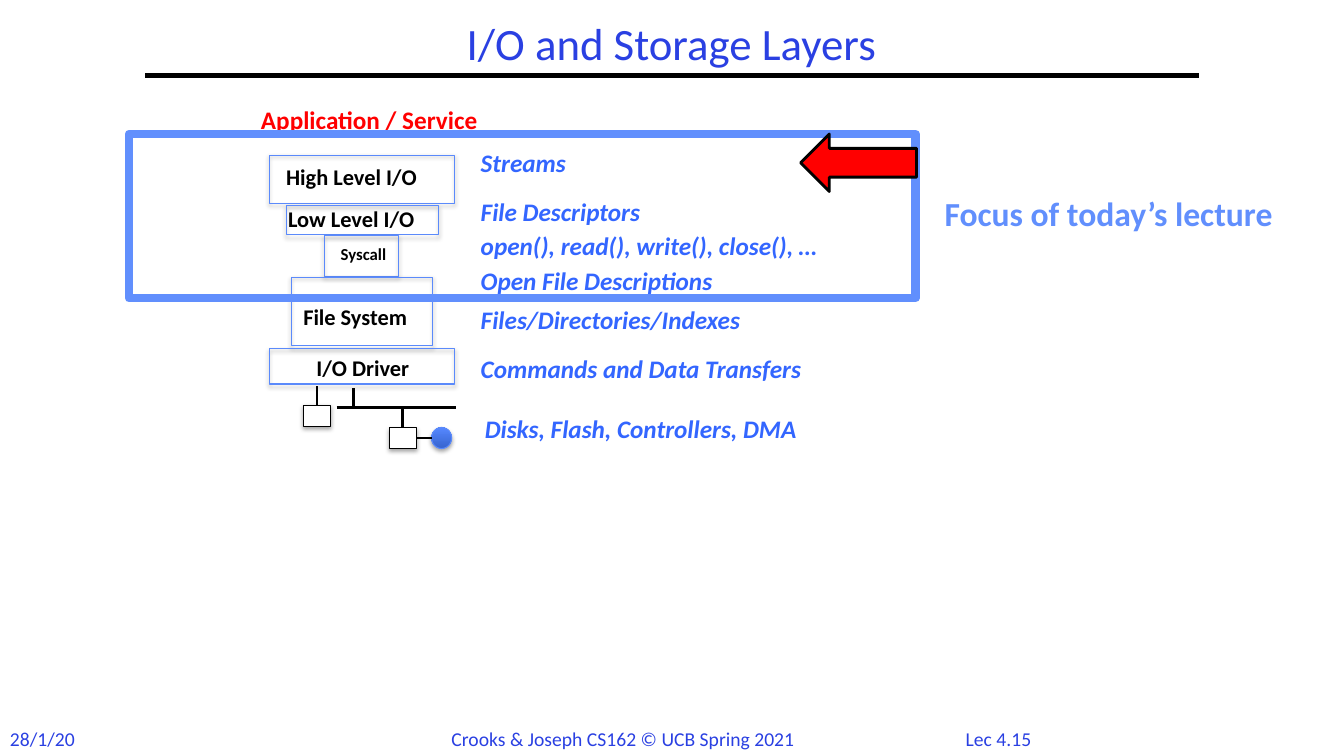
from dataclasses import dataclass

import pptx
import pptx.dml.color
import pptx.enum.shapes
import pptx.enum.text
import pptx.oxml
import pptx.oxml.ns
import pptx.util
from lxml import etree

SHAPES = pptx.enum.shapes.MSO_SHAPE
ALIGN = pptx.enum.text.PP_ALIGN
ANCHOR = pptx.enum.text.MSO_ANCHOR
TOP, RIGHT = 0, 3  # connection sites of a rectangle


@dataclass(frozen=True)
class Theme:
    font: str = "Calibri"
    heading: str = "2A40E2"
    label: str = "3366FF"
    outline: str = "5B8AFB"
    focus: str = "618FFD"
    ball_dark: str = "3764CE"
    ball_light: str = "5688FF"
    red: str = "FF0000"
    black: str = "000000"
    white: str = "FFFFFF"
    title_size: int = 32
    focus_size: int = 24
    label_size: int = 18
    layer_size: int = 16
    footer_size: int = 14
    small_size: int = 12
    thin: float = 0.75
    wire: float = 2
    rule: float = 3
    frame: float = 6


def rgb(color):
    return pptx.dml.color.RGBColor.from_string(color)


class SlideBuilder:
    """Draws on one slide; lengths are cells of a grid, ten to the inch."""

    def __init__(self, slide, theme):
        self.slide = slide
        self.theme = theme

    def cells(self, *lengths):
        return [pptx.util.Inches(length / 10) for length in lengths]

    def text(self, words, place, size, color, bold=False, italic=False,
             align=ALIGN.LEFT, anchor=ANCHOR.TOP, spacing=1.0):
        frame = self.slide.shapes.add_textbox(*self.cells(*place)).text_frame
        frame.word_wrap = True
        frame.vertical_anchor = anchor
        paragraph = frame.paragraphs[0]
        paragraph.text = words
        paragraph.alignment = align
        paragraph.line_spacing = spacing
        font = paragraph.font
        font.name = self.theme.font
        font.size = pptx.util.Pt(size)
        font.bold, font.italic = bold, italic
        font.color.rgb = rgb(color)

    def shape(self, kind, place, line, width, fill=None, shadow=False):
        shape = self.slide.shapes.add_shape(kind, *self.cells(*place))
        if fill:
            shape.fill.solid()
            shape.fill.fore_color.rgb = rgb(fill)
        else:
            shape.fill.background()
        shape.line.color.rgb = rgb(line)
        shape.line.width = pptx.util.Pt(width)
        shape.shadow.inherit = False
        if shadow:
            self.drop_shadow(shape)
        return shape

    def drop_shadow(self, shape):
        qn = pptx.oxml.ns.qn
        effects = shape._element.spPr.find(qn("a:effectLst"))
        outer = etree.SubElement(
            effects, qn("a:outerShdw"), blurRad=str(pptx.util.Pt(3.1)),
            dist=str(pptx.util.Pt(1.8)), dir="5400000", rotWithShape="0")
        color = etree.SubElement(outer, qn("a:srgbClr"), val=self.theme.black)
        etree.SubElement(color, qn("a:alpha"), val="35000")

    def line(self, start, end, width):
        connector = self.slide.shapes.add_connector(
            pptx.enum.shapes.MSO_CONNECTOR.STRAIGHT, *self.cells(*start, *end))
        connector.line.color.rgb = rgb(self.theme.black)
        connector.line.width = pptx.util.Pt(width)
        etree.SubElement(connector._element.spPr, pptx.oxml.ns.qn("a:effectLst"))
        return connector

    def label(self, words, left, top):
        self.text(words, (left, top, 41, 4), self.theme.label_size,
                  self.theme.label, bold=True, italic=True)

    def layer(self, words, text_corner, box, size):
        """An outlined layer with its name set at its own corner."""
        self.text(words, (*text_corner, 18, 3.7), size, self.theme.black, bold=True)
        self.shape(SHAPES.RECTANGLE, box, self.theme.outline, self.theme.thin,
                   shadow=True)

    def device(self, left, top):
        return self.shape(SHAPES.RECTANGLE, (left, top, 2.7, 2.1), self.theme.black,
                          self.theme.thin, self.theme.white, shadow=True)

    def ball(self, place):
        ball = self.shape(SHAPES.OVAL, place, self.theme.outline, self.theme.thin,
                          shadow=True)
        ball.fill.gradient()
        ball.fill.gradient_angle = 90
        colors = (self.theme.ball_dark, self.theme.ball_light)
        for stop, color, position in zip(ball.fill.gradient_stops, colors, (0, 1)):
            stop.color.rgb = rgb(color)
            stop.position = position


def draw_title_and_footer(builder):
    theme = builder.theme
    builder.line((14.4, 7.5), (118.9, 7.5), theme.rule)
    builder.text("I/O and Storage Layers", (14.4, 1.7, 104.4, 5.8), theme.title_size,
                 theme.heading, align=ALIGN.CENTER, anchor=ANCHOR.MIDDLE, spacing=0.9)
    for words, left, width in (("28/1/20", 0, 10),
                               ("Crooks & Joseph CS162 © UCB Spring 2021", 43.8, 40),
                               ("Lec 4.15", 94.8, 12)):
        builder.text(words, (left, 71.6, width, 3.4), theme.footer_size, theme.heading)


def draw_layers(builder):
    theme = builder.theme
    large, small = theme.layer_size, theme.small_size
    for words, corner, box, size in (
            ("High Level I/O", (27.4, 15.7), (26.7, 15.4, 18.4, 4.8), large),
            ("Low Level I/O", (27.6, 19.9), (28.4, 20.4, 15.1, 2.9), large),
            ("Syscall", (32.8, 23.7), (32.2, 23.4, 7.3, 4), small),
            ("File System", (29.1, 29.6), (28.9, 27.5, 14, 6.8), large),
            ("I/O Driver", (30.4, 34.6), (26.7, 34.6, 18.4, 3.5), large)):
        builder.layer(words, corner, box, size)


def draw_devices(builder):
    wire = builder.theme.wire
    builder.line((33.4, 40.4), (45.2, 40.4), wire)
    builder.line((35.1, 38.5), (35.1, 40.4), wire)
    controller = builder.device(38.6, 42.4)
    builder.ball((42.8, 42.4, 2, 2.1))
    builder.line((39.95, 40.4), (39.95, 42.4), wire).end_connect(controller, TOP)
    builder.line((41.3, 43.45), (42.8, 43.45), wire).begin_connect(controller, RIGHT)
    disk = builder.device(30.1, 40.2)
    builder.line((31.45, 38.3), (31.45, 40.2), wire).end_connect(disk, TOP)


def draw_labels_and_focus(builder):
    theme = builder.theme
    builder.text("Application / Service", (24.9, 9.9, 26.8, 4), theme.label_size,
                 theme.red, bold=True)
    for words, top in (("Streams", 14.1),
                       ("File Descriptors", 19),
                       ("open(), read(), write(), close(), …", 22.4),
                       ("Files/Directories/Indexes", 29.7),
                       ("Commands and Data Transfers", 34.6)):
        builder.label(words, 46.7, top)
    builder.label("Disks, Flash, Controllers, DMA", 47.1, 40.5)
    builder.shape(SHAPES.RECTANGLE, (12.8, 13.3, 78, 16.3), theme.focus, theme.frame)
    builder.text("Focus of today’s lecture", (92.7, 18.6, 40.6, 5), theme.focus_size,
                 theme.focus, bold=True)
    builder.label("Open File Descriptions", 46.7, 25.8)
    builder.shape(SHAPES.LEFT_ARROW, (79.4, 13.3, 11.5, 5.7), theme.black, theme.wire,
                  theme.red)


def main():
    presentation = pptx.Presentation()
    presentation.slide_width = pptx.util.Inches(13.33)
    presentation.slide_height = pptx.util.Inches(7.5)
    slide = presentation.slides.add_slide(presentation.slide_layouts[6])
    builder = SlideBuilder(slide, Theme())
    draw_title_and_footer(builder)
    draw_layers(builder)
    draw_devices(builder)
    draw_labels_and_focus(builder)
    presentation.save("out.pptx")


if __name__ == "__main__":
    main()
